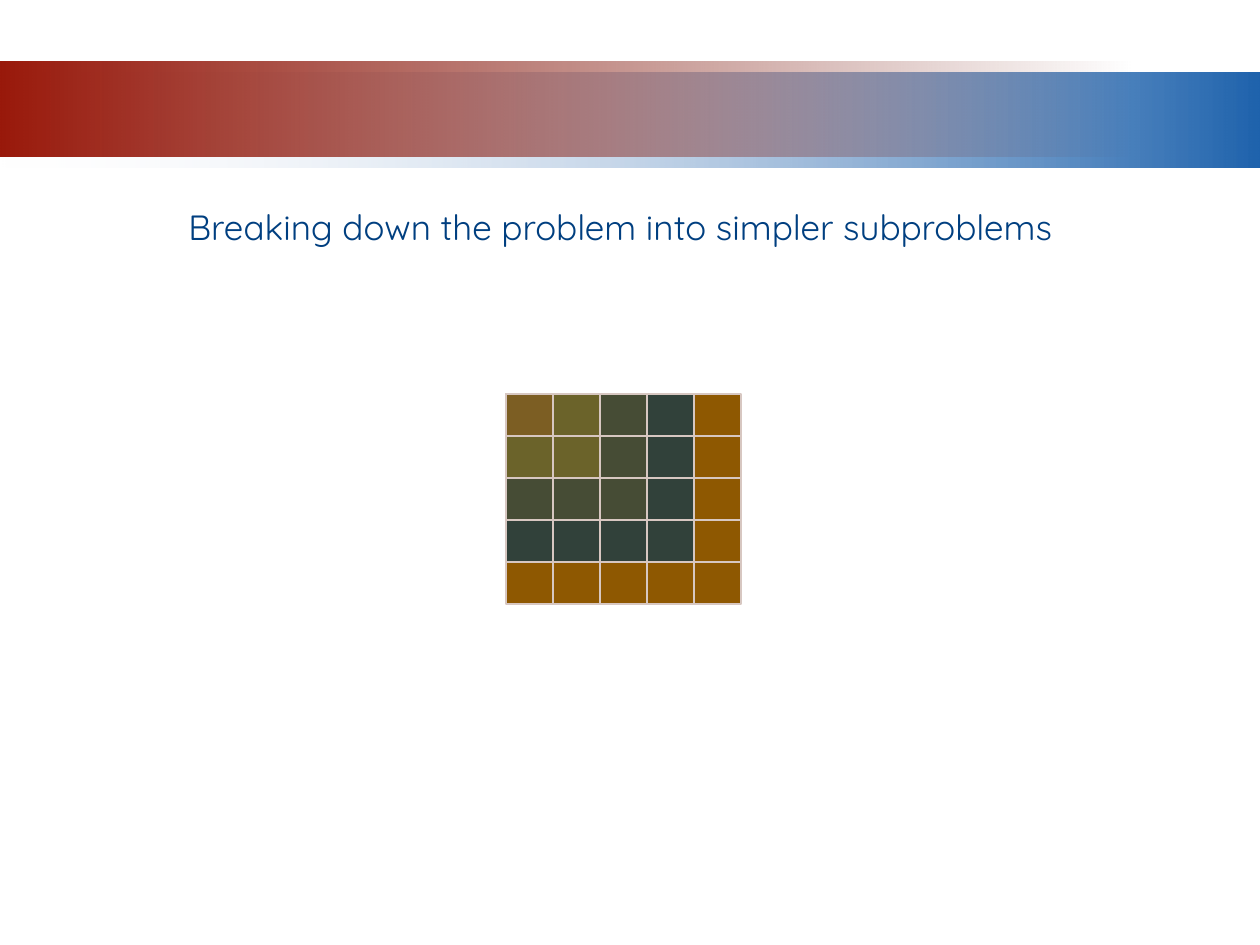
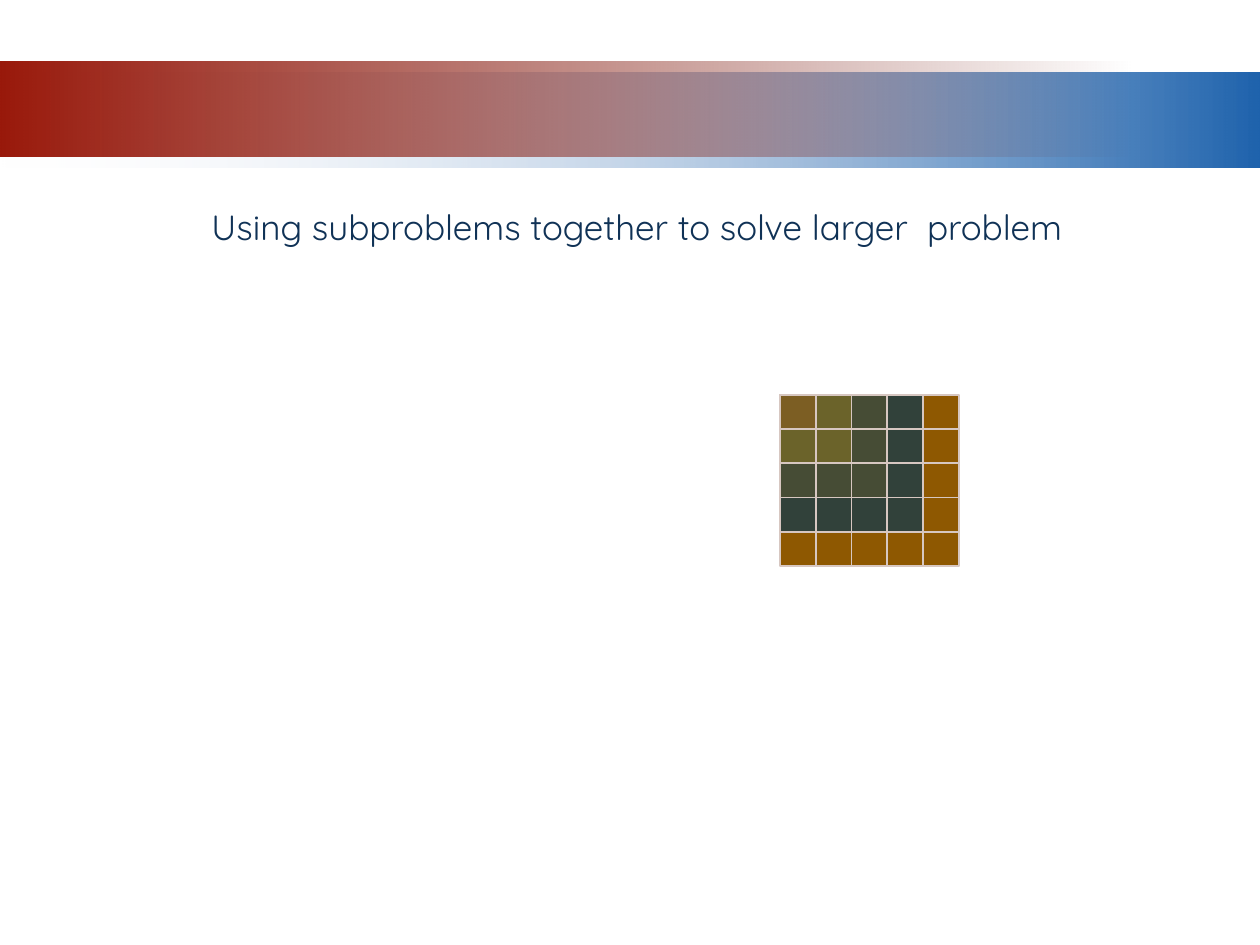
from itertools import product

from lxml import etree
from pptx import Presentation
from pptx.dml.color import RGBColor
from pptx.enum.shapes import MSO_SHAPE
from pptx.oxml.ns import qn
from pptx.util import Emu, Pt

RECTANGLE = MSO_SHAPE.RECTANGLE
PX = 914400 / 126
SLIDE_SIZE = (1260, 945)
FONT = "Quicksand"
CELLS_PER_SIDE = 5

COLORS = {
    "band_light": "F1F2F7",
    "band_blue": "1F63AD",
    "band_red": "99190B",
    "band_dark_red": "6D1208",
    "title_blue": "003F80",
    "title_navy": "103256",
    "grid_line": "D7C7C1",
    "brown": "8E5801",
    "green": "31413A",
    "olive": "9C7822",
    "yellow": "FFC000",
    "orange": "C34D07",
}

BANDS = [
    {"box": (0, 73, 1260, 95), "stops": [("band_light", 0), ("band_blue", 100)]},
    {"box": (0, 62, 1134, 95), "stops": [("band_red", 100), ("band_dark_red", 0)]},
]

SUBPROBLEMS = [
    {"first": 4, "last": 4, "color": "brown", "opacity": 100},
    {"first": 0, "last": 3, "color": "green", "opacity": 100},
    {"first": 0, "last": 2, "color": "olive", "opacity": 20},
    {"first": 0, "last": 1, "color": "yellow", "opacity": 20},
    {"first": 0, "last": 0, "color": "orange", "opacity": 20},
]

SLIDES = [
    {
        "title": "Breaking down the problem into simpler subproblems",
        "title_box": (176, 199, 929, 55),
        "title_color": "title_blue",
        "grid": (506, 394, 235, 210),
    },
    {
        "title": "Using subproblems together to solve larger  problem",
        "title_box": (199, 199, 915, 55),
        "title_color": "title_navy",
        "grid": (780, 395, 179, 171),
    },
]


def emu(*lengths):
    return [Emu(round(length * PX)) for length in lengths]


def rgb(name):
    return RGBColor.from_string(COLORS[name])


def add_rectangle(shapes, box):
    shape = shapes.add_shape(RECTANGLE, *emu(*box))
    shape.shadow.inherit = False
    return shape


def set_opacity(color_element, percent):
    if percent < 100:
        alpha = etree.SubElement(color_element, qn("a:alpha"))
        alpha.set("val", str(percent * 1000))


def add_band(slide, band):
    shape = add_rectangle(slide.shapes, band["box"])
    shape.line.fill.background()
    shape.fill.gradient()
    shape.fill.gradient_angle = 0
    for stop, (color, _) in zip(shape.fill.gradient_stops, band["stops"]):
        stop.color.rgb = rgb(color)
    color_elements = shape.element.spPr.iter(qn("a:srgbClr"))
    for element, (_, opacity) in zip(list(color_elements), band["stops"]):
        set_opacity(element, opacity)


def add_title(slide, text, box, color):
    frame = slide.shapes.add_textbox(*emu(*box)).text_frame
    frame.word_wrap = True
    run = frame.paragraphs[0].add_run()
    run.text = text
    run.font.name = FONT
    run.font.size = Pt(20)
    run.font.color.rgb = rgb(color)


def add_cell(shapes, box, color, opacity):
    cell = add_rectangle(shapes, box)
    cell.fill.solid()
    cell.fill.fore_color.rgb = rgb(color)
    set_opacity(next(cell.element.spPr.iter(qn("a:srgbClr"))), opacity)
    cell.line.color.rgb = rgb("grid_line")
    cell.line.width = Pt(1)


def add_subproblem(slide, grid, subproblem):
    left, top, width, height = grid
    cell_width, cell_height = width / CELLS_PER_SIDE, height / CELLS_PER_SIDE
    positions = [
        (row, column)
        for row, column in product(range(subproblem["last"] + 1), repeat=2)
        if max(row, column) >= subproblem["first"]
    ]
    shapes = slide.shapes
    if len(positions) > 1:
        shapes = shapes.add_group_shape().shapes
    for row, column in positions:
        box = (left + column * cell_width, top + row * cell_height, cell_width, cell_height)
        add_cell(shapes, box, subproblem["color"], subproblem["opacity"])


def main():
    presentation = Presentation()
    presentation.slide_width, presentation.slide_height = emu(*SLIDE_SIZE)
    blank_layout = presentation.slide_layouts[6]
    for content in SLIDES:
        slide = presentation.slides.add_slide(blank_layout)
        for band in BANDS:
            add_band(slide, band)
        add_title(slide, content["title"], content["title_box"], content["title_color"])
        for subproblem in SUBPROBLEMS:
            add_subproblem(slide, content["grid"], subproblem)
    presentation.save("out.pptx")


if __name__ == "__main__":
    main()
